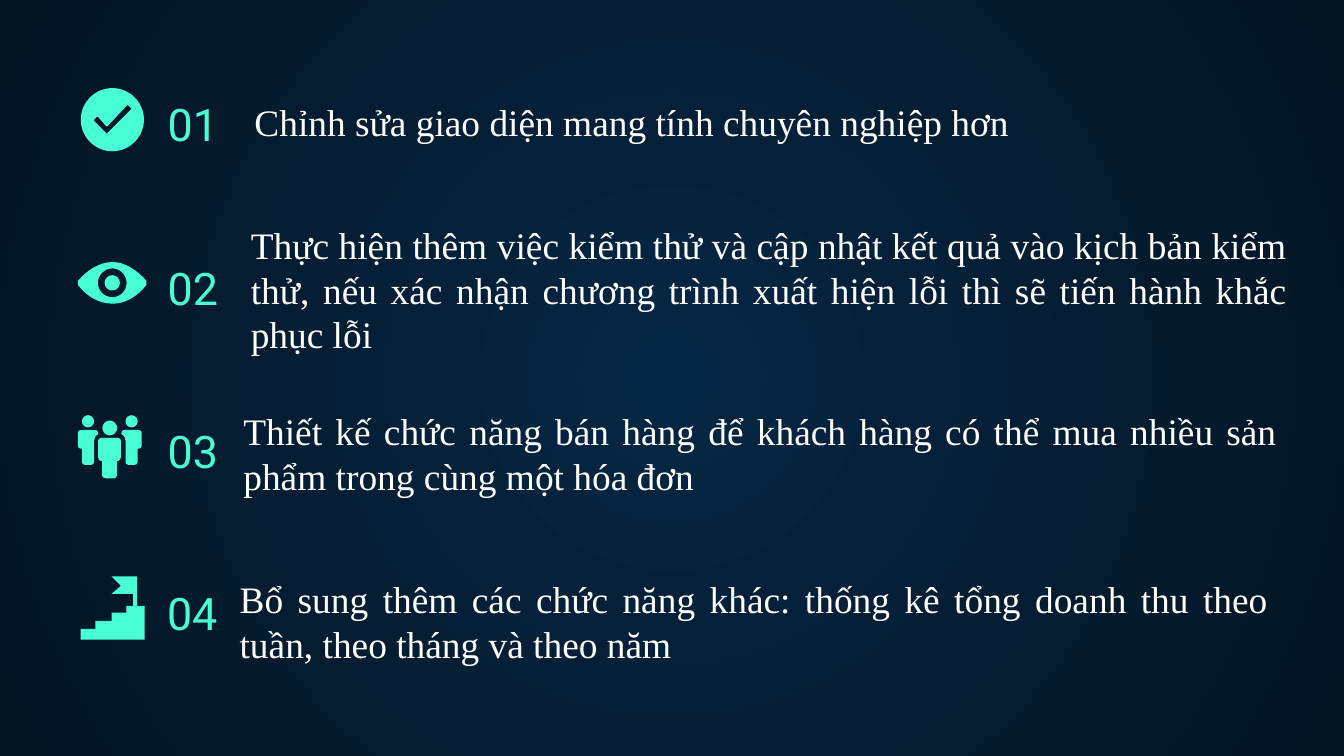
from lxml import etree
from pptx import Presentation
from pptx.dml.color import RGBColor
from pptx.enum.text import MSO_ANCHOR, MSO_AUTO_SIZE, PP_ALIGN
from pptx.oxml.ns import qn
from pptx.util import Cm, Pt

LEFT, RIGHT, JUSTIFY = PP_ALIGN.LEFT, PP_ALIGN.RIGHT, PP_ALIGN.JUSTIFY
BOTTOM, TOP = MSO_ANCHOR.BOTTOM, MSO_ANCHOR.TOP
MINT, WHITE, NAVY, NIGHT = "48FFD5", "FFFFFF", "052643", "041523"

# Content: number, its box corner, its alignment, description, its box (cm)
NUMBER_WIDTH, NUMBER_HEIGHT = 3.28, 1.68
ITEMS = [
    ("01", (2.92, 1.42), LEFT,
     "Chỉnh sửa giao diện mang tính chuyên nghiệp hơn",
     (4.56, 1.75, 14.88, 1.12)),
    ("02", (2.92, 4.51), LEFT,
     "Thực hiện thêm việc kiểm thử và cập nhật kết quả vào kịch bản kiểm thử, "
     "nếu xác nhận chương trình xuất hiện lỗi thì sẽ tiến hành khắc phục lỗi",
     (4.49, 4.07, 20.09, 2.82)),
    ("03", (2.92, 7.59), LEFT,
     "Thiết kế chức năng bán hàng để khách hàng có thể mua nhiều sản phẩm "
     "trong cùng một hóa đơn",
     (4.35, 7.59, 20.04, 1.96)),
    ("04", (1.08, 10.65), RIGHT,
     "Bổ sung thêm các chức năng khác: thống kê tổng doanh thu theo tuần, "
     "theo tháng và theo năm",
     (4.28, 10.77, 19.94, 1.96)),
]

# Icon outlines, in hundredths of an inch; six values make a cubic curve
PRECISION = 10
ICON_UNIT = Cm(0.0254) / PRECISION
CHECK = [(95, 78), (95, 78, 95, 79, 96, 79), (97, 80), (98, 81, 98, 81, 97, 82),
         (80, 99), (80, 100, 79, 100, 79, 99), (70, 90),
         (70, 90, 70, 89, 70, 89), (72, 87), (72, 87, 73, 87, 73, 87),
         (79, 94), (79, 94, 80, 94, 80, 94), (94, 79), (94, 79, 95, 78, 95, 78)]
EYE = [(84, 195), (74, 195, 65, 201, 58, 209), (58, 210, 58, 211, 58, 212),
       (65, 221, 74, 226, 84, 226), (93, 226, 102, 221, 109, 212),
       (109.5, 211, 109.5, 210, 109, 209), (102, 201, 93, 195, 84, 195)]
SIDE_BODY = [(60, 320), (59, 320, 58, 321, 58, 322), (58, 332),
             (58, 333, 59, 334, 60, 334), (61, 334), (61, 344),
             (61, 345, 62, 346, 63, 346), (68, 346),
             (69, 346, 70, 345, 70, 344), (70, 343),
             (70, 342, 70, 341, 70, 340), (70, 328),
             (70, 326, 71, 324, 73, 323), (73, 322),
             (73, 321, 72, 320, 71, 320)]
FRONT_BODY = [(75, 326), (74, 326, 73, 327, 73, 328), (73, 340),
              (73, 342, 74, 343, 75, 343), (76, 343), (76, 354),
              (76, 355, 77, 356, 79, 356), (85, 356),
              (86, 356, 87, 355, 87, 354), (87, 343), (88, 343),
              (89, 343, 90, 342, 90, 340), (90, 328),
              (90, 327, 89, 326, 88, 326)]
STAIRS = [(83, 429), (90, 436), (83, 442), (99, 442), (99, 451), (94, 451),
          (94, 456), (83, 456), (83, 462), (71, 462), (71, 468), (60, 468),
          (60, 476), (107.5, 476), (107.5, 451), (102, 451), (102, 429)]


def color(hex_string):
    return RGBColor.from_string(hex_string)


def circle(x, y, radius):
    bend = 0.55 * radius
    left, top, right, bottom = x - radius, y - radius, x + radius, y + radius
    return [(x, top),
            (x - bend, top, left, y - bend, left, y),
            (left, y + bend, x - bend, bottom, x, bottom),
            (x + bend, bottom, right, y + bend, right, y),
            (right, y - bend, x + bend, top, x, top)]


def mirror(contour, axis):
    return [tuple(2 * axis - value if i % 2 == 0 else value
                  for i, value in enumerate(segment)) for segment in contour]


def pairs(segment):
    return [(segment[i] * PRECISION, segment[i + 1] * PRECISION)
            for i in range(0, len(segment), 2)]


def add_icon(shapes, *contours):
    builder = None
    for start, *segments in contours:
        corner = pairs(start)[0]
        if builder is None:
            builder = shapes.build_freeform(*corner, scale=ICON_UNIT)
        else:
            builder.move_to(*corner)
        points = [point for segment in segments for point in pairs(segment)]
        builder.add_line_segments(points, close=True)
    shape = builder.convert_to_shape()

    # Join the three points of each curve into one cubic segment
    lines = iter(list(shape.element.iter(qn("a:lnTo"))))
    for segment in (s for contour in contours for s in contour[1:]):
        first = next(lines)
        if len(segment) == 6:
            first.tag  # the first line gives the curve its place
            curve = etree.Element(qn("a:cubicBezTo"))
            first.addprevious(curve)
            for line in (first, next(lines), next(lines)):
                curve.append(line[0])
                line.getparent().remove(line)

    shape.shadow.inherit = False
    shape.fill.solid()
    shape.fill.fore_color.rgb = color(MINT)
    shape.line.fill.background()


def place(shape, left, top, width, height):
    shape.left, shape.top = Cm(left), Cm(top)
    shape.width, shape.height = Cm(width), Cm(height)


def write(shape, text, font_name, size, hex_color, alignment, anchor):
    frame = shape.text_frame
    frame.text = text
    frame.word_wrap = True
    frame.vertical_anchor = anchor
    paragraph = frame.paragraphs[0]
    paragraph.alignment = alignment
    font = paragraph.runs[0].font
    font.name, font.size, font.color.rgb = font_name, Pt(size), color(hex_color)
    return frame


def add_text_box(slide):
    return slide.shapes.add_textbox(0, 0, Cm(1), Cm(1))


def set_background(slide):
    fill = slide.background.fill
    fill.gradient()
    for stop, hex_color in zip(fill.gradient_stops, (NAVY, NIGHT)):
        stop.color.rgb = color(hex_color)
    gradient = slide.element.find(".//" + qn("a:gradFill"))
    gradient.remove(gradient.find(qn("a:lin")))
    radial = etree.SubElement(gradient, qn("a:path"), {"path": "circle"})
    etree.SubElement(radial, qn("a:fillToRect"), dict.fromkeys("ltrb", "50000"))


def main():
    presentation = Presentation()
    presentation.slide_width, presentation.slide_height = Cm(25.4), Cm(14.29)
    slide = presentation.slides.add_slide(presentation.slide_layouts[5])
    set_background(slide)

    # Numbers: the first is the slide title
    for index, (number, corner, alignment, _, _) in enumerate(ITEMS):
        shape = add_text_box(slide) if index else slide.shapes.title
        place(shape, *corner, NUMBER_WIDTH, NUMBER_HEIGHT)
        frame = write(shape, number, "Roboto", 24, MINT, alignment, BOTTOM)
        frame.auto_size = MSO_AUTO_SIZE.NONE
        frame.margin_left = frame.margin_right = Cm(0.25)
        frame.margin_top = frame.margin_bottom = Cm(0.25)

    # Icons: check mark, people, stairs with flag, eye
    add_icon(slide.shapes, CHECK, circle(83.6, 89.1, 23.5))
    people = slide.shapes.add_group_shape().shapes
    for part in (circle(65.5, 313.5, 4.5), SIDE_BODY):
        add_icon(people, part)
        add_icon(people, mirror(part, 81.7))
    add_icon(people, FRONT_BODY)
    add_icon(people, circle(81.7, 318.5, 5.5))
    add_icon(slide.shapes, STAIRS)
    add_icon(slide.shapes, circle(83.6, 210.5, 5.7), circle(83.6, 210.5, 10.7), EYE)

    # Descriptions
    for index, (_, _, _, description, box) in enumerate(ITEMS):
        shape = add_text_box(slide)
        place(shape, *box)
        frame = write(shape, description, "Times New Roman", 20, WHITE, JUSTIFY, TOP)
        frame.word_wrap = index > 0
        frame.auto_size = MSO_AUTO_SIZE.SHAPE_TO_FIT_TEXT

    presentation.save("out.pptx")


if __name__ == "__main__":
    main()
